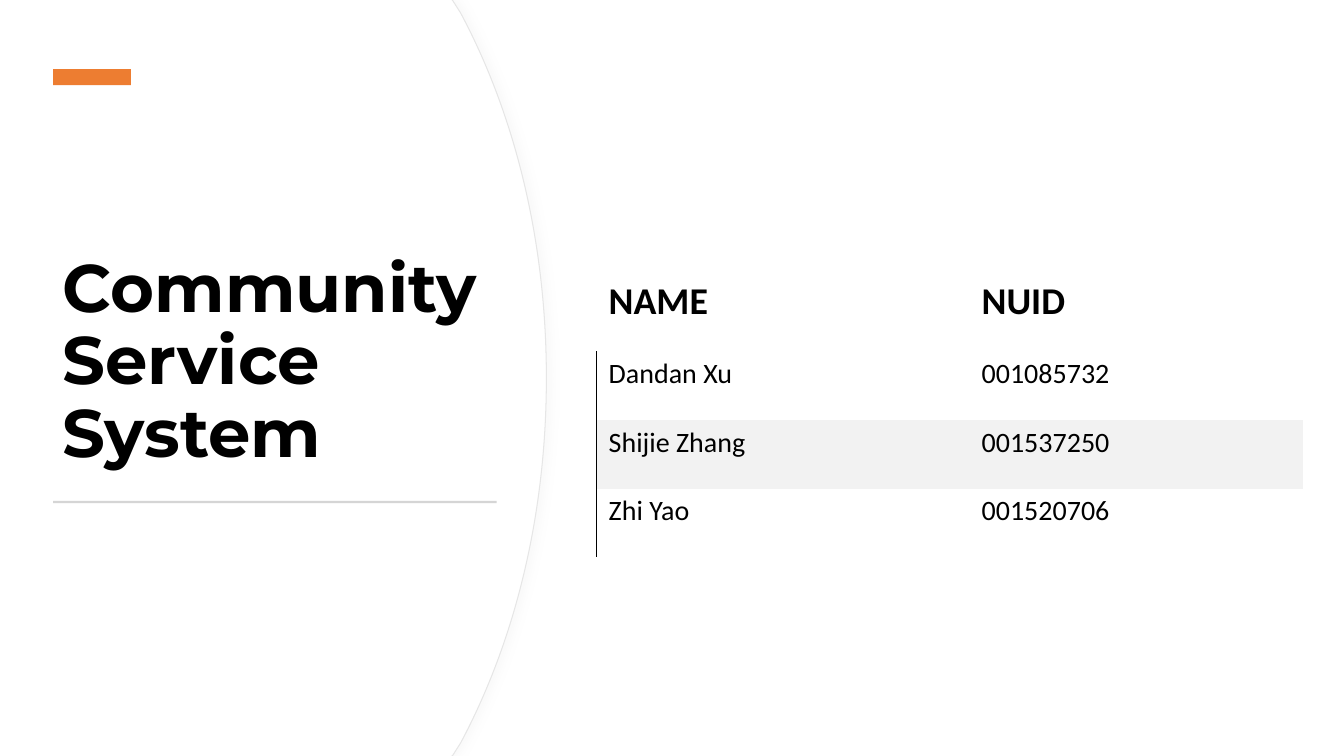
from pptx import Presentation
from pptx.dml.color import RGBColor
from pptx.enum.shapes import MSO_SHAPE
from pptx.enum.text import MSO_ANCHOR
from pptx.oxml import parse_xml
from pptx.oxml.ns import qn
from pptx.util import Cm, Pt

RECTANGLE = MSO_SHAPE.RECTANGLE
BOTTOM, MIDDLE = MSO_ANCHOR.BOTTOM, MSO_ANCHOR.MIDDLE
DRAWING = 'xmlns:a="http://schemas.openxmlformats.org/drawingml/2006/main"'
NO_STYLE = "{2D5ABB26-0587-4C30-8999-92F81FD0307C}"

TITLE = "Community Service\vSystem"
HEADERS = ("NAME", "NUID")
MEMBERS = [
    ("Dandan Xu", "001085732"),
    ("Shijie Zhang", "001537250"),
    ("Zhi Yao", "001520706"),
]
BARS = [
    ((1.34, 1.74, 1.96, 0.41), "ED7D31"),
    ((1.34, 12.62, 11.18, 0.06), "D5D5D5"),
]

WIDTH, HEIGHT = 33.87, 19.05
COLUMN_WIDTHS = (9.4, 8.4)
HEADER_HEIGHT, MEMBER_HEIGHT = 2.06, 1.73
TABLE_LEFT, TABLE_TOP = 15.04, 4.73
CURVE_START = (11.4, 0)
CURVE = [(11.61, 0.33), (12.98, 2.9), (13.77, 6.07), (13.77, HEIGHT / 2)]


def color(value):
    return RGBColor.from_string(value)


def write_text(frame, text, size, font="Calibri", bold=False, spacing=None):
    frame.word_wrap = True
    paragraph = frame.paragraphs[0]
    paragraph.text = text
    paragraph.line_spacing = spacing
    for run in paragraph.runs:
        run.font.name = font
        run.font.size = Pt(size)
        run.font.bold = bold
        run.font.color.rgb = color("000000")


def curve_to(points):
    marks = "".join(f'<a:pt x="{x}" y="{y}"/>' for x, y in points)
    return parse_xml(f"<a:cubicBezTo {DRAWING}>{marks}</a:cubicBezTo>")


def add_panel(slide, shift, line=None):
    upper = [CURVE_START] + CURVE
    lower = [(x, HEIGHT - y) for x, y in reversed(upper[:-1])]
    edge = [(Cm(x - shift), Cm(y)) for x, y in upper + lower]
    corners = [edge[index] for index in (0, 1, 4, 7, 8)]
    builder = slide.shapes.build_freeform(0, 0)
    builder.add_line_segments(corners + [(0, Cm(HEIGHT))], close=True)
    panel = builder.convert_to_shape()
    segments = list(panel._element.iter(qn("a:lnTo")))
    for segment, first in zip(segments[2:4], (2, 5)):
        segment.getparent().replace(segment, curve_to(edge[first:first + 3]))
    panel.shadow.inherit = False
    panel.fill.solid()
    panel.fill.fore_color.rgb = color("FFFFFF")
    if line:
        panel.line.color.rgb = color(line)
        panel.line.width = Pt(0.75)
    else:
        panel.line.fill.background()
    return panel


def add_shadow(shape, value):
    effects = shape._element.spPr.find(qn("a:effectLst"))
    effects.append(parse_xml(
        f'<a:outerShdw {DRAWING} blurRad="{Pt(6)}" dist="{Pt(3)}" dir="0">'
        f'<a:srgbClr val="{value}"><a:alpha val="15000"/></a:srgbClr></a:outerShdw>'))


def add_left_border(cell, value):
    cell._tc.get_or_add_tcPr().insert(0, parse_xml(
        f'<a:lnL {DRAWING} w="{Pt(0.75)}"><a:solidFill>'
        f'<a:srgbClr val="{value}"/></a:solidFill></a:lnL>'))


def fill_cell(cell, text, size, anchor, right, bold=False, fill=None):
    cell.margin_left, cell.margin_top = Cm(0.3), Cm(0.08)
    cell.margin_right, cell.margin_bottom = Cm(right), Cm(0.66)
    cell.vertical_anchor = anchor
    write_text(cell.text_frame, text, size, bold=bold)
    if fill:
        cell.fill.solid()
        cell.fill.fore_color.rgb = color(fill)
    else:
        cell.fill.background()


def add_members(slide):
    heights = [HEADER_HEIGHT] * 2 + [MEMBER_HEIGHT] * len(MEMBERS)
    table = slide.shapes.add_table(
        len(heights), len(COLUMN_WIDTHS), Cm(TABLE_LEFT), Cm(TABLE_TOP),
        Cm(sum(COLUMN_WIDTHS)), Cm(sum(heights))).table
    table.first_row = table.horz_banding = False
    table._tbl.tblPr.find(qn("a:tableStyleId")).text = NO_STYLE
    for column, width in zip(table.columns, COLUMN_WIDTHS):
        column.width = Cm(width)
    for row, height in zip(table.rows, heights):
        row.height = Cm(height)
    table.cell(0, 0).merge(table.cell(0, 1))
    table.cell(0, 0).fill.background()
    for column, header in enumerate(HEADERS):
        fill_cell(table.cell(1, column), header, 27, BOTTOM, 3.25, bold=True)
    for index, member in enumerate(MEMBERS):
        for column, value in enumerate(member):
            fill_cell(table.cell(index + 2, column), value, 20, MIDDLE, 3.99,
                      fill="F2F2F2" if index % 2 else None)
        add_left_border(table.cell(index + 2, 0), "000000")


def main():
    presentation = Presentation()
    presentation.slide_width, presentation.slide_height = Cm(WIDTH), Cm(HEIGHT)
    slide = presentation.slides.add_slide(presentation.slide_layouts[6])
    add_shadow(add_panel(slide, 0, line="E6E6E6"), "D9D9D9")
    add_panel(slide, 0.03)
    title = slide.shapes.add_textbox(Cm(1.33), Cm(3.13), Cm(11.18), Cm(8.89))
    title.text_frame.vertical_anchor = BOTTOM
    write_text(title.text_frame, TITLE, 48, font="Montserrat", bold=True, spacing=0.9)
    for box, fill in BARS:
        bar = slide.shapes.add_shape(RECTANGLE, *map(Cm, box))
        bar.shadow.inherit = False
        bar.fill.solid()
        bar.fill.fore_color.rgb = color(fill)
        bar.line.fill.background()
    add_members(slide)
    presentation.save("out.pptx")


if __name__ == "__main__":
    main()
